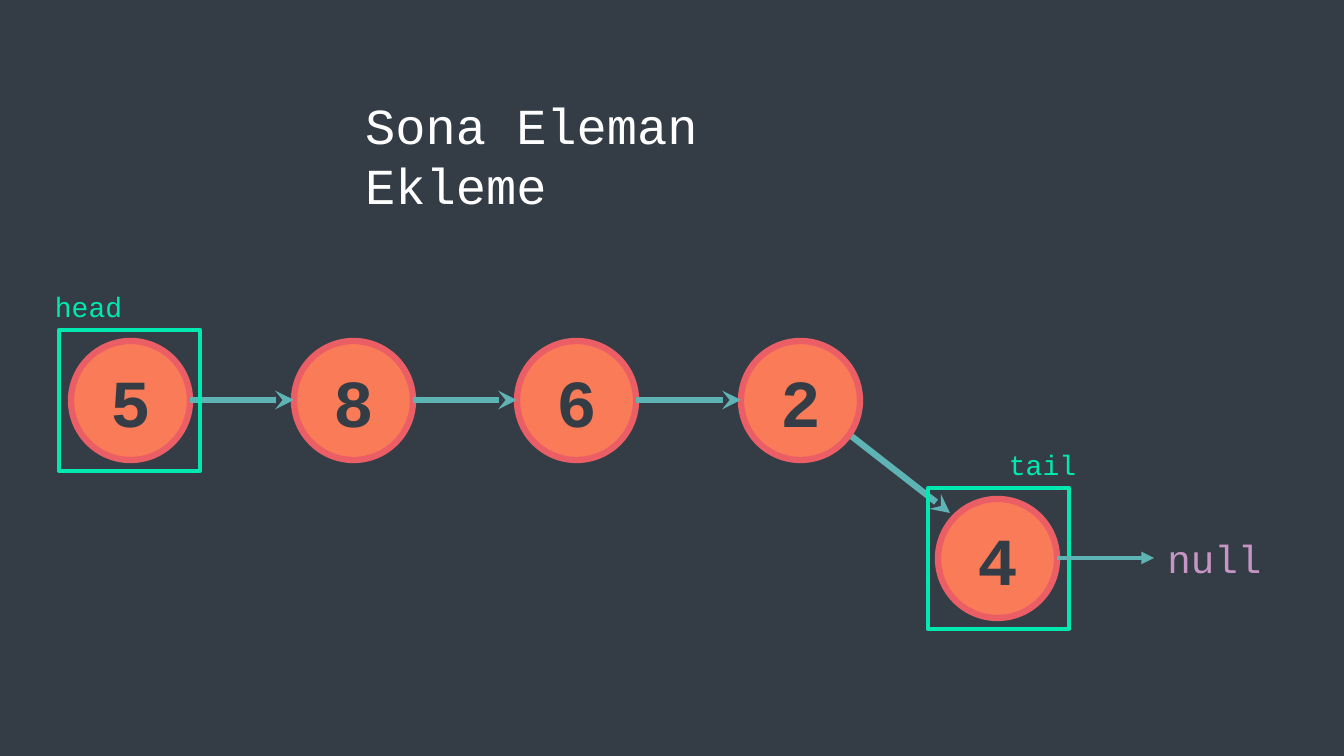
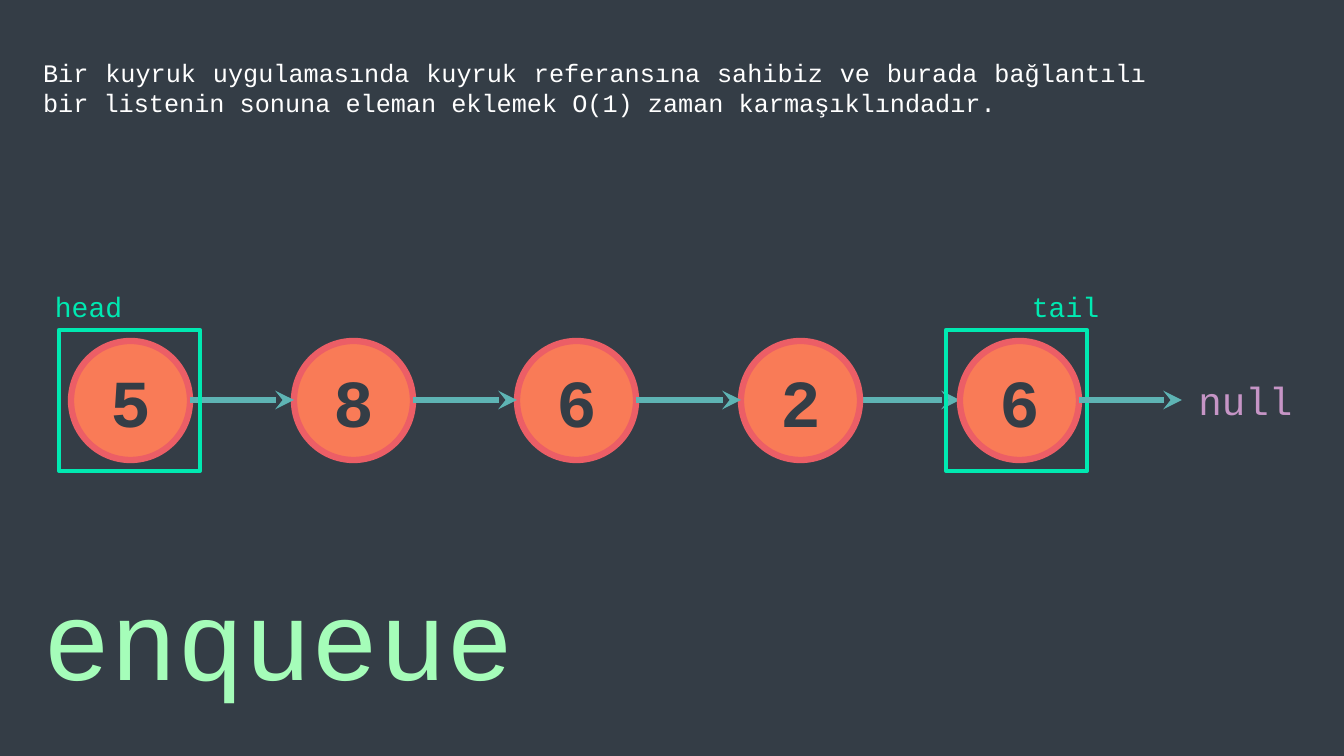
import dataclasses
import lxml.etree
import pptx
import pptx.dml.color
import pptx.enum.shapes
import pptx.enum.text
import pptx.oxml.ns
import pptx.util

Align = pptx.enum.text.PP_ALIGN
Anchor = pptx.enum.text.MSO_ANCHOR
Kind = pptx.enum.shapes.MSO_SHAPE
qn = pptx.oxml.ns.qn
Pt = pptx.util.Pt
rgb = pptx.dml.color.RGBColor.from_string
PX = 12192000 / 1344


@dataclasses.dataclass(frozen=True)
class Theme:
    font: str = "Courier New"
    back: str = "343D46"
    node: str = "F97B57"
    rim: str = "EC5E66"
    link: str = "5EB4B4"
    frame: str = "00E9B1"
    null: str = "C695C6"
    white: str = "FFFFFF"
    green: str = "A5FDB9"
    body: int = 18
    label: int = 20
    end: int = 28
    title: int = 36
    digit: int = 48
    hero: int = 80
    thick: float = 4.5
    thin: float = 3


theme = Theme()


def write(shape, words, size, color, align=Align.LEFT, bold=False, anchor=Anchor.TOP):
    frame = shape.text_frame
    frame.word_wrap = True
    frame.auto_size = pptx.enum.text.MSO_AUTO_SIZE.NONE
    frame.vertical_anchor = anchor
    para = frame.paragraphs[0]
    para.alignment = align
    para.space_before = Pt(0)
    run = para.add_run()
    run.text = words
    run.font.name = theme.font
    run.font.size = Pt(size)
    run.font.bold = bold
    run.font.color.rgb = rgb(color)


def join(shapes, start, stop, width=theme.thick, head="stealth"):
    ends = [round(n * PX) for n in (*start, *stop)]
    line = shapes.add_connector(pptx.enum.shapes.MSO_CONNECTOR.STRAIGHT, *ends)
    line.line.color.rgb = rgb(theme.link)
    line.line.width = Pt(width)
    props = line._element.spPr
    lxml.etree.SubElement(props.find(qn("a:ln")), qn("a:tailEnd"), type=head)
    lxml.etree.SubElement(props, qn("a:effectLst"))


deck = pptx.Presentation()
deck.slide_width = round(1344 * PX)
deck.slide_height = round(756 * PX)
fill = deck.slide_master.background.fill
fill.solid()
fill.fore_color.rgb = rgb(theme.back)

SIZE = 119
HALF = 60
TOP = 341
MID = TOP + HALF - 1
lefts = [71 + n * 670 // 3 for n in range(4)]

pages = [
    dict(layout=5, title="Sona Eleman Ekleme", size=theme.title, color=theme.white,
         area=(355, 89, 546, 72), body=None,
         digit="4", tail=(938, 499), box=928, label=999,
         start=(805, MID), stop=(950, 513),
         tip=1154, width=theme.thin, head="triangle", null=1156),
    dict(layout=1, title="enqueue", size=theme.hero, color=theme.green,
         area=(33, 563, 572, 146),
         body="Bir kuyruk uygulamasında kuyruk referansına sahibiz ve burada "
              "bağlantılı bir listenin sonuna eleman eklemek O(1) zaman "
              "karmaşıklındadır.",
         digit="6", tail=(960, TOP), box=946, label=1022,
         start=(860, MID), stop=(960, MID),
         tip=1182, width=theme.thick, head="stealth", null=1187),
]

for page in pages:
    slide = deck.slides.add_slide(deck.slide_layouts[page["layout"]])
    shapes = slide.shapes
    title = shapes.title
    title.left, title.top, title.width, title.height = [round(n * PX) for n in page["area"]]
    write(title, page["title"], page["size"], page["color"])

    if page["body"]:
        body = slide.placeholders[1]
        body.left, body.top, body.width, body.height = [
            round(n * PX) for n in (33, 52, 1123, 72)]
        write(body, page["body"], theme.body, theme.white, Align.JUSTIFY)
        props = body.text_frame.paragraphs[0]._p.get_or_add_pPr()
        props.set("marL", "0")
        props.set("indent", "0")
        lxml.etree.SubElement(props, qn("a:buNone"))

    join(shapes, page["start"], page["stop"])

    spots = [(left, TOP) for left in lefts] + [page["tail"]]
    for digit, (left, top) in zip("5862" + page["digit"], spots):
        node = shapes.add_shape(Kind.OVAL, *[round(n * PX) for n in (left, top, SIZE, SIZE)])
        node.shadow.inherit = False
        node.fill.solid()
        node.fill.fore_color.rgb = rgb(theme.node)
        node.line.color.rgb = rgb(theme.rim)
        node.line.width = Pt(theme.thick)
        node.text_frame.margin_left = node.text_frame.margin_right = 0
        write(node, digit, theme.digit, theme.back, Align.CENTER, True, Anchor.MIDDLE)

    for left, right in zip(lefts, lefts[1:]):
        join(shapes, (left + SIZE, MID), (right, MID))

    left, top = page["tail"]
    for name, box, label, level in (("head", 59, 45, TOP), ("tail", page["box"], page["label"], top)):
        frame = shapes.add_shape(
            Kind.RECTANGLE, *[round(n * PX) for n in (box, level - 11, 141, 141)])
        frame.shadow.inherit = False
        frame.fill.background()
        frame.line.color.rgb = rgb(theme.frame)
        frame.line.width = Pt(theme.thin)
        note = shapes.add_textbox(*[round(n * PX) for n in (label, level - 56, 99, 44)])
        write(note, name, theme.label, theme.frame)

    level = top + HALF - 1
    join(shapes, (left + SIZE, level), (page["tip"], level), page["width"], page["head"])
    null = shapes.add_textbox(*[round(n * PX) for n in (page["null"], level - 29, 117, 57)])
    write(null, "null", theme.end, theme.null, Align.CENTER)

deck.save("out.pptx")
